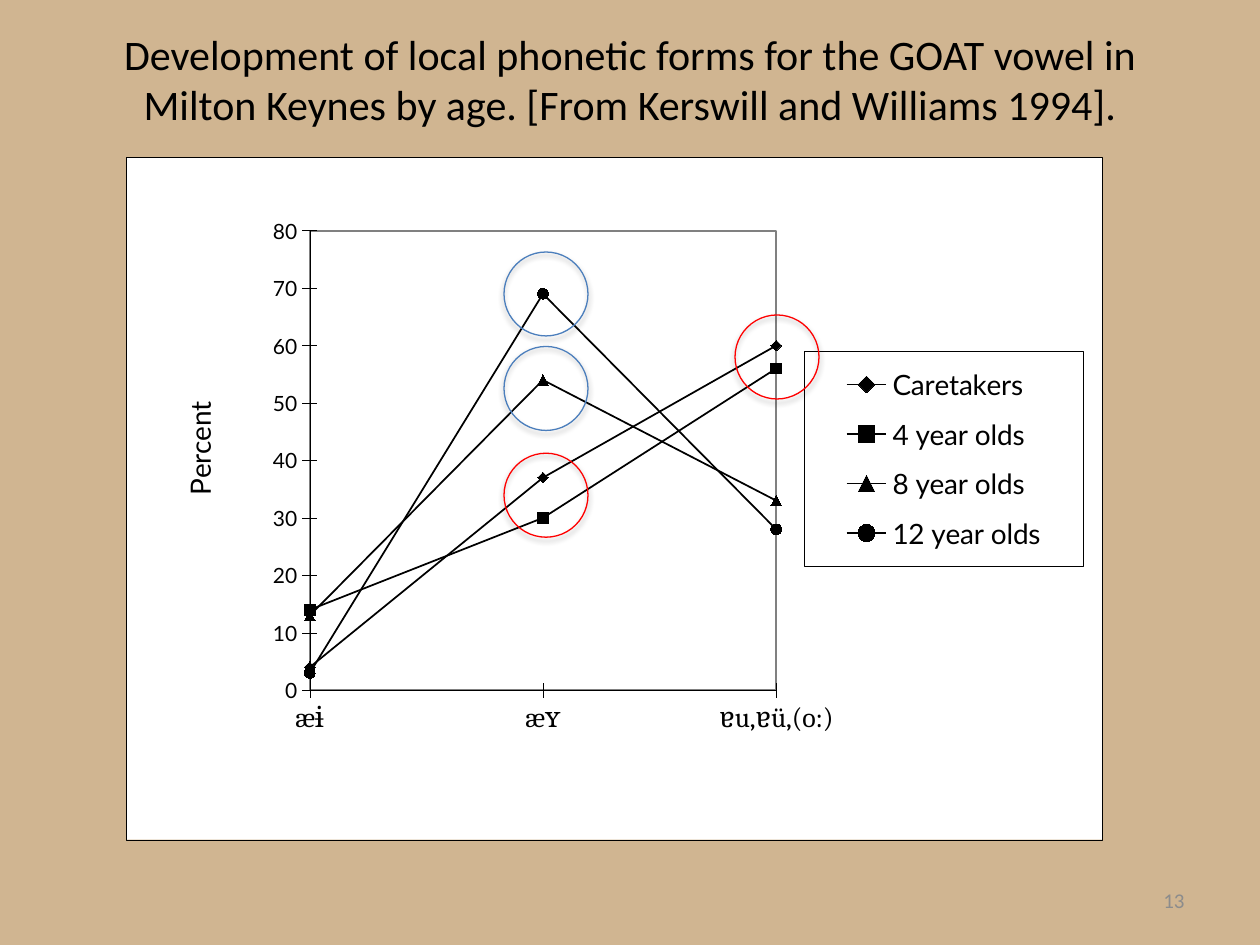
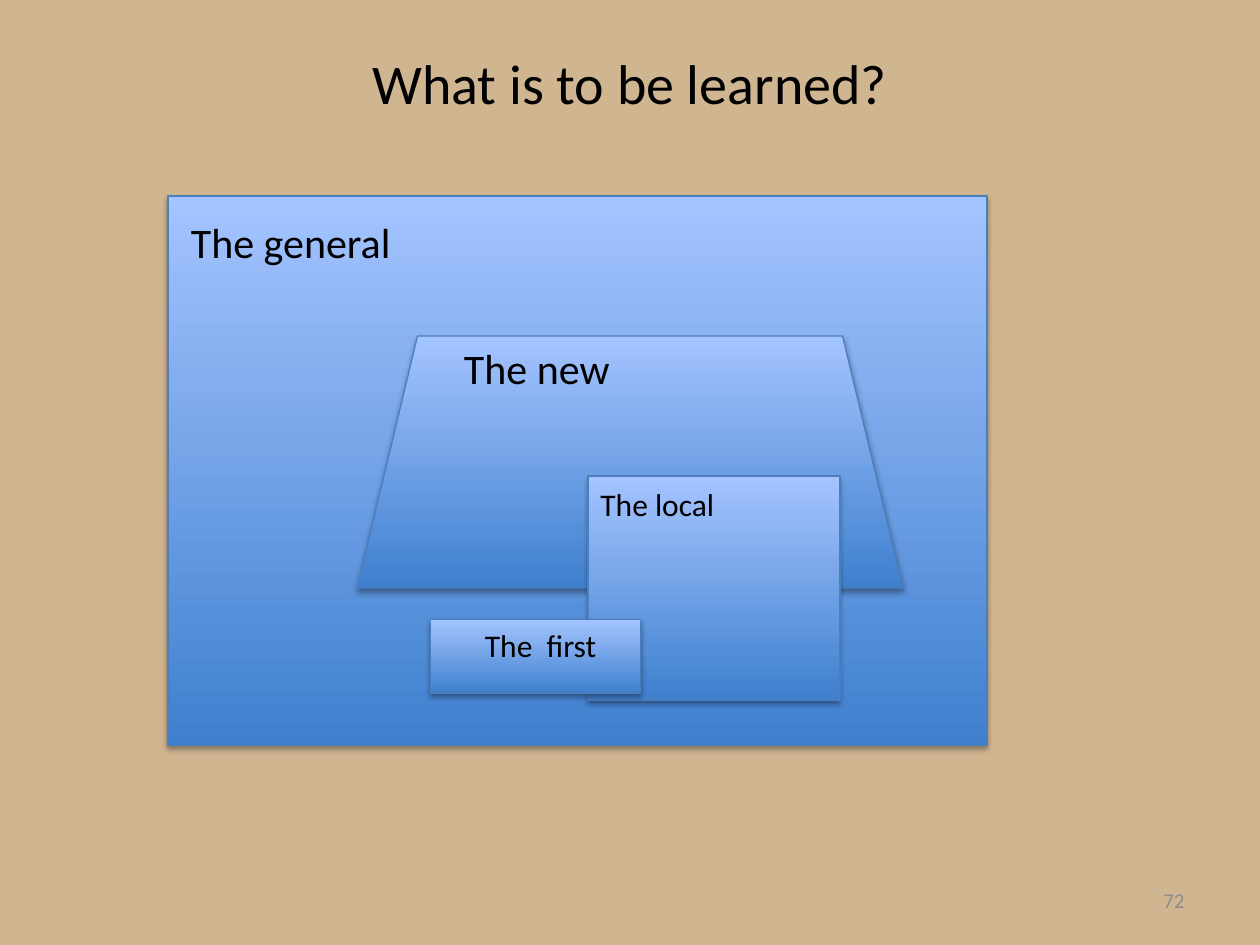
from collections import namedtuple

from pptx import Presentation
from pptx.chart.data import CategoryChartData
from pptx.dml.color import RGBColor
from pptx.enum.chart import XL_CHART_TYPE, XL_LEGEND_POSITION, XL_MARKER_STYLE, XL_TICK_MARK
from pptx.enum.shapes import MSO_SHAPE
from pptx.enum.text import MSO_ANCHOR, PP_ALIGN
from pptx.oxml import parse_xml
from pptx.oxml.ns import nsdecls, qn
from pptx.util import Pt

Box = namedtuple("Box", "left top width height")
COLORS = {
    "sand": "D0B591", "black": "000000", "white": "FFFFFF", "gray": "8C8C8C", "frame": "808080",
    "blue": "4B7EBC", "red": "FF0000", "deep": "3F80CE", "sky": "A4C4FF",
}
TEXT_FONT, CHART_FONT, PHONETIC_FONT = "Calibri", "Lato", "Cambria"
NUMBER_BOX = Box(516, 500, 168, 29)
CIRCLE_SIZE = 48


def rgb(name):
    """Return the named palette colour."""
    return RGBColor.from_string(COLORS[name])


def within(outer, left, top, width, height):
    """Return a box placed relative to the corner of another box."""
    return Box(outer.left + left, outer.top + top, width, height)


def points(box):
    """Convert a box to lengths in points."""
    return [Pt(length) for length in box]


def style_font(font, size, name=TEXT_FONT, color="black"):
    """Set size, typeface and colour of a font."""
    font.size, font.name, font.bold = Pt(size), name, False
    font.color.rgb = rgb(color)


def add_text(page, box, text, size, color="black", align=PP_ALIGN.LEFT, anchor=MSO_ANCHOR.TOP):
    """Add a one-paragraph text box."""
    frame = page.shapes.add_textbox(*points(box)).text_frame
    frame.word_wrap = True
    frame.vertical_anchor = anchor
    paragraph = frame.paragraphs[0]
    paragraph.text, paragraph.alignment = text, align
    style_font(paragraph.font, size, color=color)


def add_page(deck, title, title_box, title_size, number):
    """Add a slide with the shared background, title and slide number."""
    page = deck.slides.add_slide(deck.slide_layouts[6])
    page.background.fill.solid()
    page.background.fill.fore_color.rgb = rgb("sand")
    add_text(page, title_box, title, title_size, align=PP_ALIGN.CENTER, anchor=MSO_ANCHOR.MIDDLE)
    add_text(page, NUMBER_BOX, number, 12, "gray", PP_ALIGN.RIGHT, MSO_ANCHOR.MIDDLE)
    return page


def add_shadowed_shape(page, kind, box, line):
    """Add an outlined preset shape with a soft shadow below it."""
    shape = page.shapes.add_shape(kind, *points(box))
    shape.line.color.rgb = rgb(line)
    shape.line.width = Pt(0.75)
    shape.shadow.inherit = False
    shape._element.spPr.find(qn("a:effectLst")).append(parse_xml(
        f'<a:outerShdw {nsdecls("a")} blurRad="{Pt(3.1)}" dist="{Pt(1.8)}" dir="5400000" rotWithShape="0">'
        f'<a:srgbClr val="{COLORS["black"]}"><a:alpha val="35000"/></a:srgbClr></a:outerShdw>'))
    return shape


def outline_xml(line, width):
    """Return white-filled chart area properties with a border."""
    return parse_xml(
        f'<c:spPr {nsdecls("c", "a")}><a:solidFill><a:srgbClr val="{COLORS["white"]}"/></a:solidFill>'
        f'<a:ln w="{Pt(width)}"><a:solidFill><a:srgbClr val="{COLORS[line]}"/></a:solidFill></a:ln></c:spPr>')


def set_layout(parent, before, target="", **fractions):
    """Give a chart part a manual layout, after the named child or first."""
    for old in parent.findall(qn("c:layout")):
        parent.remove(old)
    modes = "".join(f'<c:{side}Mode val="edge"/>' for side in "xy")
    sizes = "".join(f'<c:{side} val="{value}"/>' for side, value in fractions.items())
    layout = parse_xml(f'<c:layout {nsdecls("c")}><c:manualLayout>{target}{modes}{sizes}</c:manualLayout></c:layout>')
    if before:
        parent.find(qn(before)).addnext(layout)
    else:
        parent.insert(0, layout)


def style_axis(axis, size, name):
    """Give an axis crossing ticks, a hairline and label fonts."""
    axis.has_major_gridlines = False
    axis.major_tick_mark = XL_TICK_MARK.CROSS
    axis.minor_tick_mark = XL_TICK_MARK.NONE
    axis.format.line.color.rgb = rgb("black")
    axis.format.line.width = Pt(0.25)
    style_font(axis.tick_labels.font, size, name)


def style_value_axis(axis):
    """Scale and title the percent axis and start the lines on it."""
    style_axis(axis, 12, CHART_FONT)
    axis.minimum_scale, axis.maximum_scale, axis.major_unit = 0, 80, 10
    frame = axis.axis_title.text_frame
    frame.text = "Percent"
    style_font(frame.paragraphs[0].font, 16, CHART_FONT)
    element = axis._element
    title = element.find(qn("c:title"))
    title.find(".//" + qn("a:bodyPr")).set("rot", "-5400000")
    set_layout(title, "c:tx", x=0.05, y=0.35)
    for old in element.findall(qn("c:crossBetween")):
        element.remove(old)
    element.find(qn("c:crosses")).addnext(parse_xml(f'<c:crossBetween {nsdecls("c")} val="midCat"/>'))


def style_legend(chart):
    """Place the bordered legend at the right of the plot."""
    chart.has_legend = True
    legend = chart.legend
    legend.position = XL_LEGEND_POSITION.RIGHT
    legend.include_in_layout = False
    style_font(legend.font, 16, CHART_FONT)
    set_layout(legend._element, "c:legendPos", x=0.695, y=0.284, w=0.285, h=0.315)
    legend._element.find(qn("c:overlay")).addnext(outline_xml("black", 0.25))


def add_vowel_chart(page, box):
    """Draw the vowel line chart filling the box."""
    data = CategoryChartData()
    data.categories = ["æɨ", "æʏ", "ɐu,ɐü,(o:)"]
    groups = [
        ("Caretakers", (4, 37, 60), XL_MARKER_STYLE.DIAMOND),
        ("4 year olds", (14, 30, 56), XL_MARKER_STYLE.SQUARE),
        ("8 year olds", (13, 54, 33), XL_MARKER_STYLE.TRIANGLE),
        ("12 year olds", (3, 69, 28), XL_MARKER_STYLE.CIRCLE),
    ]
    for name, values, _ in groups:
        data.add_series(name, values)
    chart = page.shapes.add_chart(XL_CHART_TYPE.LINE_MARKERS, *points(box), data).chart
    chart.has_title = False
    style_font(chart.font, 9, CHART_FONT)
    plot = chart.plots[0]
    plot.vary_by_categories = False
    for series, (_, _, marker) in zip(plot.series, groups):
        series.smooth = False
        series.format.line.color.rgb = rgb("black")
        series.format.line.width = Pt(1)
        series.marker.style, series.marker.size = marker, 6
        series.marker.format.fill.solid()
        series.marker.format.fill.fore_color.rgb = rgb("black")
        series.marker.format.line.color.rgb = rgb("black")
    style_axis(chart.category_axis, 16, PHONETIC_FONT)
    style_value_axis(chart.value_axis)
    style_legend(chart)
    space = chart._chartSpace
    plot_area = space.find(".//" + qn("c:plotArea"))
    set_layout(plot_area, None, '<c:layoutTarget val="inner"/>', x=0.188, y=0.107, w=0.478, h=0.674)
    plot_area.append(outline_xml("frame", 1))
    space.find(qn("c:chart")).addnext(outline_xml("black", 0.25))


def add_highlights(page, box):
    """Circle the paired points of the chart in the box."""
    for left, top, color in [(348, 90, "red"), (216, 108, "blue"), (216, 54, "blue"), (216, 169, "red")]:
        place = within(box, left, top, CIRCLE_SIZE, CIRCLE_SIZE)
        add_shadowed_shape(page, MSO_SHAPE.OVAL, place, color).fill.background()


def add_labelled_block(page, kind, box, label, label_place, size):
    """Add a gradient block and its label, placed from the block corner."""
    block = add_shadowed_shape(page, kind, box, "blue")
    block.fill.gradient()
    block.fill.gradient_angle = 90
    for stop, color in zip(block.fill.gradient_stops, ("deep", "sky")):
        stop.color.rgb = rgb(color)
    if kind == MSO_SHAPE.TRAPEZOID:
        block.adjustments[0] = 0.24
    add_text(page, within(box, *label_place), label, size)


def add_learning_blocks(page, box):
    """Draw the overlapping areas of learning inside the box."""
    blocks = [
        (MSO_SHAPE.RECTANGLE, (0, 0, box.width, box.height), "The general", (6, 8, 150, 36), 24),
        (MSO_SHAPE.TRAPEZOID, (108, 80, 312, 144), "The new", (54, 0, 108, 36), 24),
        (MSO_SHAPE.RECTANGLE, (240, 160, 144, 128), "The local", (0, 1.5, 96, 29), 18),
        (MSO_SHAPE.RECTANGLE, (150, 242, 120, 42), "The  first", (24, 0, 96, 29), 18),
    ]
    for kind, place, label, label_place, size in blocks:
        add_labelled_block(page, kind, within(box, *place), label, label_place, size)


def main():
    """Build and save both slides."""
    deck = Presentation()
    deck.slide_width, deck.slide_height = Pt(720), Pt(540)
    heading = ("Development of local phonetic forms for the GOAT vowel in Milton Keynes by age. "
               "[From Kerswill and Williams 1994].")
    page = add_page(deck, heading, Box(36, 0, 648, 90), 24, "13")
    chart_box = Box(72, 90, 558, 390)
    add_vowel_chart(page, chart_box)
    add_highlights(page, chart_box)
    page = add_page(deck, "What is to be learned?", Box(36, 22, 648, 50), 32, "72")
    add_learning_blocks(page, Box(96, 112, 468, 314))
    deck.save("out.pptx")


if __name__ == "__main__":
    main()
